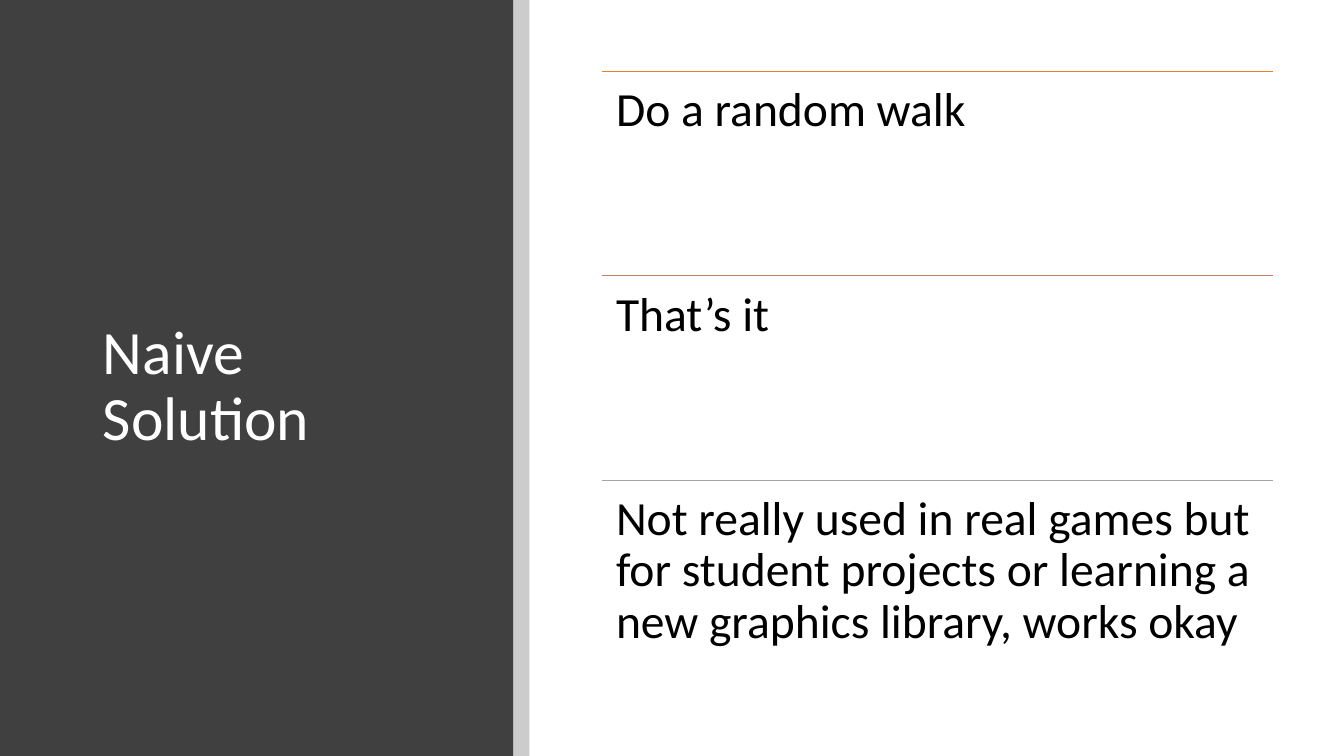
from lxml import etree
from pptx import Presentation
from pptx.dml.color import RGBColor
from pptx.enum.shapes import MSO_CONNECTOR, MSO_SHAPE
from pptx.enum.text import MSO_ANCHOR, MSO_AUTO_SIZE, PP_ALIGN
from pptx.oxml.ns import qn
from pptx.util import Inches, Pt

RECTANGLE = MSO_SHAPE.RECTANGLE
STRAIGHT = MSO_CONNECTOR.STRAIGHT
TOP, MIDDLE = MSO_ANCHOR.TOP, MSO_ANCHOR.MIDDLE
LEFT = PP_ALIGN.LEFT
NO_FIT = MSO_AUTO_SIZE.NONE

FONT = "Calibri"
SLIDE_WIDTH, SLIDE_HEIGHT = 13.33, 7.5
POINTS = [
    ("Do a random walk", "ED7D31"),
    ("That’s it", "C48170"),
    ("Not really used in real games but for student projects or learning "
     "a new graphics library, works okay", "A5A5A5"),
]


def colour(value):
    return RGBColor.from_string(value)


def write_text(shape, text, size, fill, anchor=TOP, inset=None):
    frame = shape.text_frame
    frame.word_wrap = True
    frame.auto_size = NO_FIT
    frame.vertical_anchor = anchor
    if inset is not None:
        frame.margin_left = frame.margin_right = Inches(inset)
        frame.margin_top = frame.margin_bottom = Inches(inset)
    para = frame.paragraphs[0]
    para.alignment = LEFT
    para.line_spacing = 0.9
    span = para.add_run()
    span.text = text
    span.font.name = FONT
    span.font.size = Pt(size)
    span.font.color.rgb = colour(fill)


def add_band(page, left, top, width, height, fill, opacity=100):
    band = page.shapes.add_shape(
        RECTANGLE, Inches(left), Inches(top), Inches(width), Inches(height))
    band.shadow.inherit = False
    band.line.fill.background()
    band.fill.solid()
    band.fill.fore_color.rgb = colour(fill)
    if opacity < 100:
        tint = band.element.spPr.find(qn("a:solidFill"))[0]
        etree.SubElement(tint, qn("a:alpha")).set("val", str(opacity * 1000))
    return band


def add_rule(page, left, top, width, fill):
    rule = page.shapes.add_connector(
        STRAIGHT, Inches(left), Inches(top), Inches(left + width), Inches(top))
    rule.line.color.rgb = colour(fill)
    rule.line.width = Pt(0.5)
    etree.SubElement(rule.element.spPr, qn("a:effectLst"))


def build_title_panel(page, left, top, width, height):
    strip_width = 0.16
    panel_width = width - strip_width
    add_band(page, left, top, panel_width, height, "404040")
    strip = add_band(page, left + panel_width, top, strip_width, height,
                     "000000", opacity=20)

    # The title sits in front of the panel
    title = page.shapes.title
    strip.element.addnext(title.element)
    title.left, title.top = Inches(left + 0.92), Inches(top + 0.89)
    title.width, title.height = Inches(3.65), Inches(5.91)
    write_text(title, "Naive Solution", 44, "FFFFFF", anchor=MIDDLE)


def build_points(page, left, top, width, height):
    row_height = height / len(POINTS)
    for index, (text, rule_colour) in enumerate(POINTS):
        row_top = top + index * row_height
        add_rule(page, left, row_top, width, rule_colour)
        box = page.shapes.add_textbox(
            Inches(left), Inches(row_top), Inches(width), Inches(row_height))
        write_text(box, text, 34, "000000", inset=0.14)


def main():
    deck = Presentation()
    deck.slide_width = Inches(SLIDE_WIDTH)
    deck.slide_height = Inches(SLIDE_HEIGHT)
    title_only = deck.slide_layouts[5]
    page = deck.slides.add_slide(title_only)

    # Dark panel on the left, ruled points on the right
    build_title_panel(page, 0, 0, 5.25, SLIDE_HEIGHT)
    build_points(page, 5.97, 0.71, 6.66, 6.08)

    deck.save("out.pptx")


if __name__ == "__main__":
    main()
